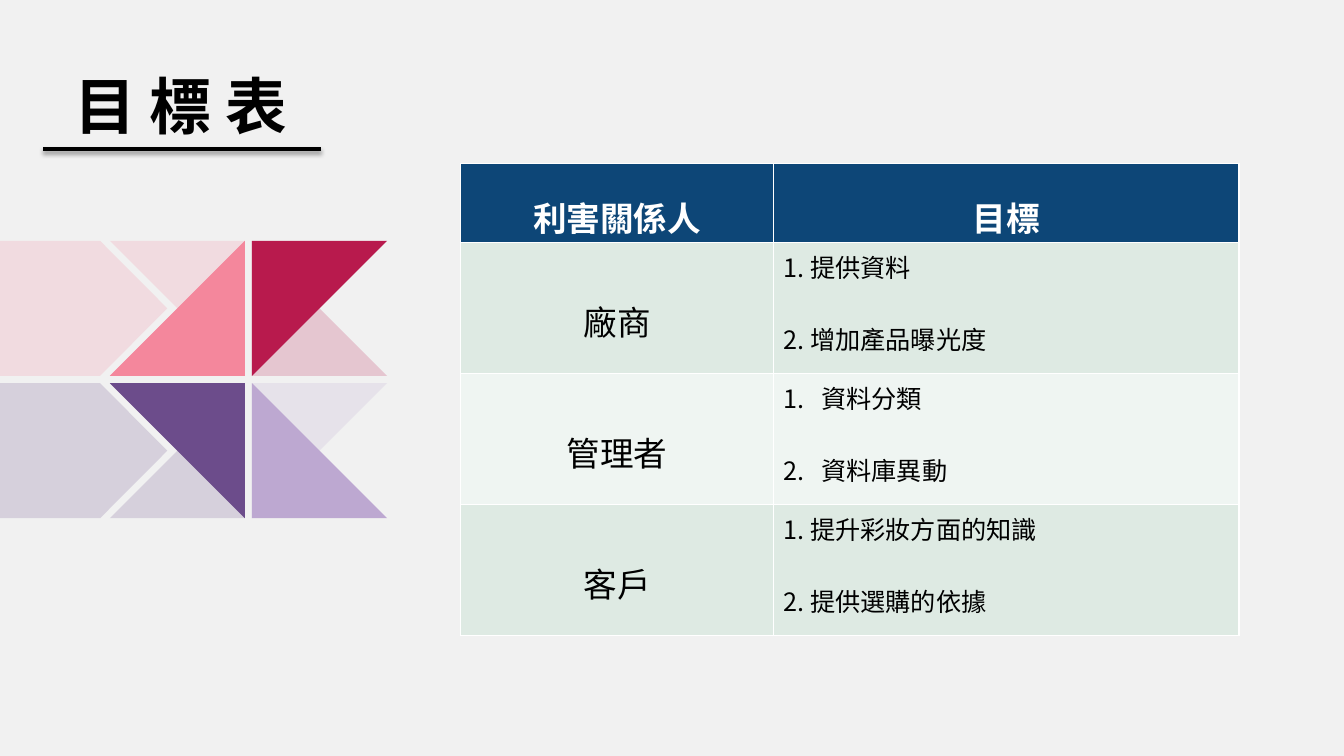
from lxml import etree
from pptx import Presentation
from pptx.dml.color import RGBColor
from pptx.enum import shapes, text
from pptx.oxml import ns
from pptx.util import Pt

FONT = "Noto Sans CJK SC"
COLORS = {
    "background": "F1F1F1", "black": "000000", "white": "FFFFFF",
    "pink": "F4879C", "red": "B81A4D", "lilac": "BDA8D1", "purple": "6C4C8B",
    "header": "0D4677", "band": "DEEAE3", "light band": "EFF5F2",
}
CORNERS = {"TL": (0, 0), "TR": (1, 0), "BR": (1, 1), "BL": (0, 1)}
TILE = 96.5
LEFT, RIGHT = 78.5, 180
TOP, BOTTOM = 172, 273.7
TRIANGLES = [
    (LEFT, TOP, "TL TR BR", "pink", 20),
    (RIGHT, TOP, "TL BR BL", "red", 20),
    (RIGHT, BOTTOM, "TL TR BL", "lilac", 20),
    (LEFT, BOTTOM, "TR BR BL", "purple", 20),
    (RIGHT, BOTTOM, "TL BR BL", "lilac", 100),
    (RIGHT, TOP, "TL TR BL", "red", 100),
]
FRONT_TRIANGLES = [
    (LEFT, BOTTOM, "TL TR BR", "purple", 100),
    (LEFT, TOP, "TR BR BL", "pink", 100),
]
GOALS = [
    ("廠商", ["1. 提供資料", "2. 增加產品曝光度"], False),
    ("管理者", ["資料分類", "資料庫異動"], True),
    ("客戶", ["1. 提升彩妝方面的知識", "2. 提供選購的依據"], False),
]


def rgb(name):
    return RGBColor.from_string(COLORS[name])


def add_child(parent, tag, **attributes):
    return etree.SubElement(parent, ns.qn(tag), attributes)


def paint(shape, color, opacity=100):
    shape.shadow.inherit = False
    shape.fill.solid()
    shape.fill.fore_color.rgb = rgb(color)
    shape.line.fill.background()
    if opacity < 100:
        fill = shape.fill._xPr.find(ns.qn("a:solidFill"))
        add_child(fill[0], "a:alpha", val=str(opacity * 1000))


def add_polygon(slide, points, color, opacity):
    builder = slide.shapes.build_freeform(Pt(points[0][0]), Pt(points[0][1]))
    builder.add_line_segments([(Pt(x), Pt(y)) for x, y in points[1:]])
    paint(builder.convert_to_shape(), color, opacity)


def add_triangle(slide, left, top, corners, color, opacity):
    points = [(left + TILE * CORNERS[c][0], top + TILE * CORNERS[c][1])
              for c in corners.split()]
    add_polygon(slide, points, color, opacity)


def add_arrow_band(slide, top, color):
    points = [(0, top), (71.5, top), (119.5, top + TILE / 2),
              (71.5, top + TILE), (0, top + TILE)]
    add_polygon(slide, points, color, 20)


def add_run(paragraph, words, size, color="black", bold=False):
    run = paragraph.add_run()
    run.text = words
    run.font.size = Pt(size)
    run.font.name = FONT
    run.font.bold = bold
    run.font.color.rgb = rgb(color)
    add_child(run.font._element, "a:ea", typeface=FONT)


def add_title(slide):
    box = slide.shapes.add_textbox(Pt(46), Pt(44.6), Pt(188.6), Pt(60.5))
    frame = box.text_frame
    frame.word_wrap = True
    frame.vertical_anchor = text.MSO_ANCHOR.MIDDLE
    add_run(frame.paragraphs[0], "目 標 表", 44, bold=True)


def add_underline(slide):
    line = slide.shapes.add_connector(
        shapes.MSO_CONNECTOR.STRAIGHT, Pt(31), Pt(106.6), Pt(229), Pt(106.6))
    line.line.color.rgb = rgb("black")
    line.line.width = Pt(3)
    effects = add_child(line._element.spPr, "a:effectLst")
    shadow = add_child(effects, "a:outerShdw", blurRad=str(Pt(3.1)),
                       dist=str(Pt(1.8)), dir="5400000", rotWithShape="0")
    color = add_child(shadow, "a:srgbClr", val=COLORS["black"])
    add_child(color, "a:alpha", val="35000")


def fill_cell(cell, color):
    cell.fill.solid()
    cell.fill.fore_color.rgb = rgb(color)


def write_centred(cell, words, spacing, color="black", bold=False):
    paragraph = cell.text_frame.paragraphs[0]
    paragraph.alignment = text.PP_ALIGN.CENTER
    paragraph.line_spacing = spacing
    add_run(paragraph, words, 24, color, bold)


def write_goals(cell, goals, numbered):
    frame = cell.text_frame
    for index, goal in enumerate(goals):
        paragraph = frame.add_paragraph() if index else frame.paragraphs[0]
        if index:
            paragraph.space_before = Pt(26)
        if numbered:
            properties = paragraph._p.get_or_add_pPr()
            properties.set("marL", str(Pt(27)))
            properties.set("indent", str(-Pt(27)))
            add_child(properties, "a:buFont", typeface="+mj-lt")
            add_child(properties, "a:buAutoNum", type="arabicPeriod")
        add_run(paragraph, goal, 18)


def add_goal_table(slide):
    table = slide.shapes.add_table(
        4, 2, Pt(329.2), Pt(116.5), Pt(555.8), Pt(337.7)).table
    for column, width in zip(table.columns, (223.2, 332.6)):
        column.width = Pt(width)
    for row, height in zip(table.rows, (56.9, 93.6, 93.6, 93.6)):
        row.height = Pt(height)
    for column, heading in enumerate(("利害關係人", "目標")):
        cell = table.cell(0, column)
        cell.margin_bottom = 0
        fill_cell(cell, "header")
        write_centred(cell, heading, 1.5, "white", True)
    for row, (stakeholder, goals, numbered) in enumerate(GOALS, 1):
        for cell in table.rows[row].cells:
            fill_cell(cell, "band" if row % 2 else "light band")
        write_centred(table.cell(row, 0), stakeholder, 2)
        write_goals(table.cell(row, 1), goals, numbered)


def main():
    presentation = Presentation()
    presentation.slide_width = Pt(960)
    presentation.slide_height = Pt(540)
    slide = presentation.slides.add_slide(presentation.slide_layouts[6])
    backdrop = slide.shapes.add_shape(
        shapes.MSO_SHAPE.RECTANGLE, 0, 0, Pt(960), Pt(540))
    paint(backdrop, "background")
    for triangle in TRIANGLES:
        add_triangle(slide, *triangle)
    add_arrow_band(slide, TOP, "pink")
    add_arrow_band(slide, BOTTOM, "purple")
    for triangle in FRONT_TRIANGLES:
        add_triangle(slide, *triangle)
    add_title(slide)
    add_underline(slide)
    add_goal_table(slide)
    presentation.save("out.pptx")


if __name__ == "__main__":
    main()
